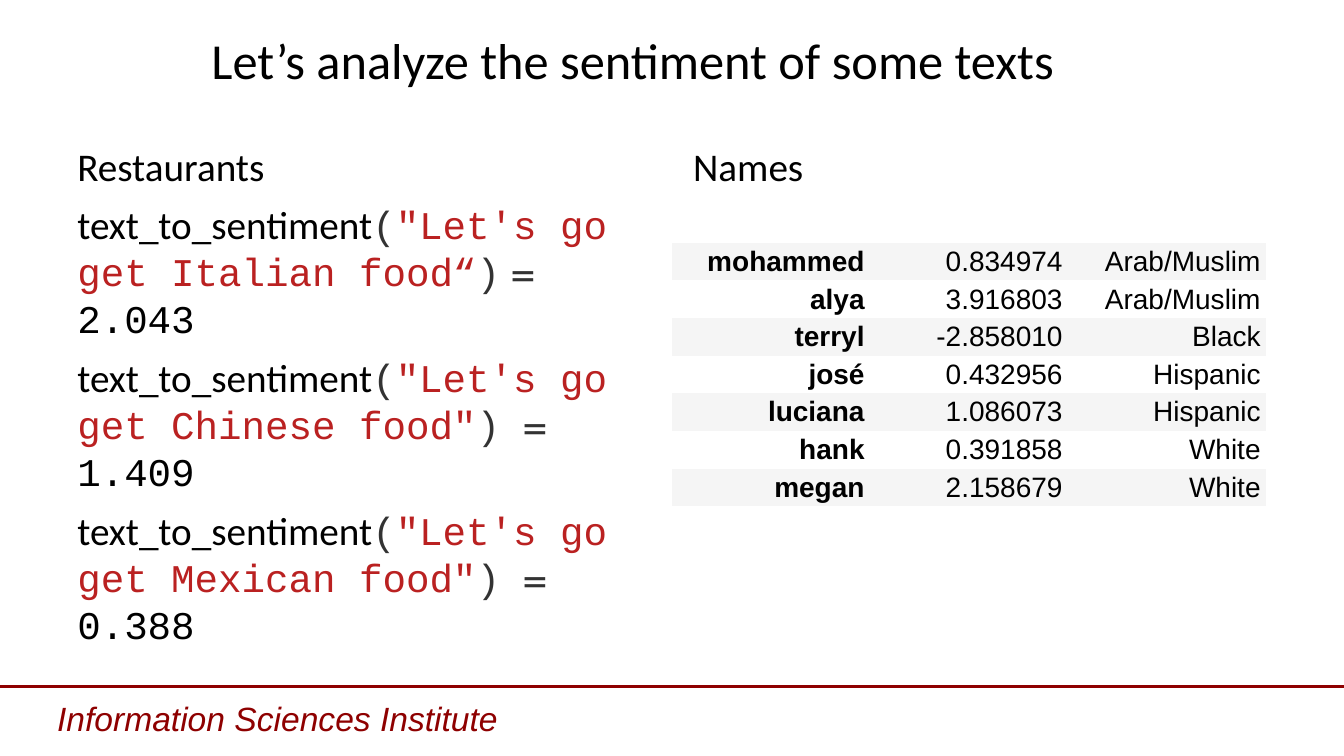
from dataclasses import dataclass

from lxml import etree
from pptx import Presentation
from pptx.dml.color import RGBColor
from pptx.enum.shapes import MSO_CONNECTOR
from pptx.enum.text import MSO_ANCHOR, PP_ALIGN
from pptx.oxml.ns import qn
from pptx.util import Cm, Pt

LEFT, CENTER, RIGHT = PP_ALIGN.LEFT, PP_ALIGN.CENTER, PP_ALIGN.RIGHT
TOP, MIDDLE = MSO_ANCHOR.TOP, MSO_ANCHOR.MIDDLE
STRAIGHT = MSO_CONNECTOR.STRAIGHT
PLAIN_TABLE = "{2D5ABB26-0587-4C30-8999-92F81FD0307C}"


@dataclass(frozen=True)
class Theme:
    black: RGBColor = RGBColor(0, 0, 0)
    gray: RGBColor = RGBColor(0x33, 0x33, 0x33)
    red: RGBColor = RGBColor(0xBA, 0x21, 0x21)
    maroon: RGBColor = RGBColor(0x8E, 0, 0)
    band: RGBColor = RGBColor(0xF5, 0xF5, 0xF5)
    text: str = "Calibri"
    code: str = "Courier New"
    sign: str = "TeX Gyre Schola"
    sans: str = "Arial"
    title: Pt = Pt(36)
    body: Pt = Pt(28)
    foot: Pt = Pt(24)
    cell: Pt = Pt(20)
    gap: Pt = Pt(8.4)


THEME = Theme()

# Text before the sign, text from the sign on, and score for each dish
CALLS = [
    ("\"Let's go get Italian food“", ")", " = ", "2.043"),
    ("\"Let's go get Chinese food\"", ") ", "= ", "1.409"),
    ("\"Let's go get Mexican food\"", ") ", "= ", "0.388"),
]
NAMES = [
    ("mohammed", "0.834974", "Arab/Muslim"),
    ("alya", "3.916803", "Arab/Muslim"),
    ("terryl", "-2.858010", "Black"),
    ("josé", "0.432956", "Hispanic"),
    ("luciana", "1.086073", "Hispanic"),
    ("hank", "0.391858", "White"),
    ("megan", "2.158679", "White"),
]


def style(font, name, size=None, color=THEME.black):
    font.name = name
    font.color.rgb = color
    if size:
        font.size = size


def add_text(slide, box, text, name, size, color=THEME.black,
             align=LEFT, anchor=TOP):
    frame = slide.shapes.add_textbox(*map(Cm, box)).text_frame
    frame.word_wrap = True
    frame.vertical_anchor = anchor
    para = frame.paragraphs[0]
    para.text = text
    para.alignment = align
    style(para.font, name, size, color)
    return frame


def add_call(frame, quote, close, sign, score):
    para = frame.add_paragraph()
    para.space_before = THEME.gap
    para.font.size = THEME.body
    for text, name, color in (
        ("text_to_sentiment", THEME.text, THEME.black),
        ("(", THEME.code, THEME.gray),
        (quote, THEME.code, THEME.red),
        (close, THEME.code, THEME.gray),
        (sign, THEME.sign, THEME.gray),
        (score, THEME.code, THEME.black),
    ):
        run = para.add_run()
        run.text = text
        style(run.font, name, color=color)


def add_rule(slide, y, width):
    rule = slide.shapes.add_connector(STRAIGHT, 0, Cm(y), width, Cm(y))
    rule.line.color.rgb = THEME.maroon
    rule.line.width = Pt(2.25)
    etree.SubElement(rule._element.spPr, qn("a:effectLst"))


def fill_cell(cell, text, bold, band):
    cell.margin_left = cell.margin_right = Cm(0.13)
    cell.margin_top = cell.margin_bottom = Cm(0.05)
    cell.vertical_anchor = MIDDLE
    if band:
        cell.fill.solid()
        cell.fill.fore_color.rgb = THEME.band
    else:
        cell.fill.background()
    para = cell.text_frame.paragraphs[0]
    para.text = text
    para.alignment = RIGHT
    style(para.font, THEME.sans, THEME.cell)
    para.font.bold = bold


def add_names(slide, left, top, col, row):
    rows, cols = len(NAMES), len(NAMES[0])
    table = slide.shapes.add_table(rows, cols, Cm(left), Cm(top),
                                   Cm(col * cols), Cm(row * rows)).table
    table.first_row = table.horz_banding = False
    table._tbl.tblPr.find(qn("a:tableStyleId")).text = PLAIN_TABLE
    for r, line in enumerate(NAMES):
        for c, text in enumerate(line):
            fill_cell(table.cell(r, c), text, bold=c == 0, band=r % 2 == 0)


def main():
    deck = Presentation()
    deck.slide_width, deck.slide_height = Cm(33.87), Cm(19.05)
    slide = deck.slides.add_slide(deck.slide_layouts[6])

    # Footer
    add_rule(slide, 17.3, deck.slide_width)
    foot = add_text(slide, (1.19, 17.45, 16.69, 1.3),
                    "Information Sciences Institute",
                    THEME.sans, THEME.foot, THEME.maroon)
    foot.paragraphs[0].font.italic = True

    # Title
    add_text(slide, (1.7, 0.61, 28.5, 1.78),
             "Let’s analyze the sentiment of some texts",
             THEME.text, THEME.title, align=CENTER, anchor=MIDDLE)

    # Restaurants
    left = add_text(slide, (1.7, 3.45, 14.96, 13.56), "Restaurants",
                    THEME.text, THEME.body)
    for call in CALLS:
        add_call(left, *call)

    # Names
    add_text(slide, (17.22, 3.45, 14.96, 13.56), "Names",
             THEME.text, THEME.body)
    add_names(slide, 16.93, 6.12, 4.99, 0.91)

    deck.save("out.pptx")


if __name__ == "__main__":
    main()
